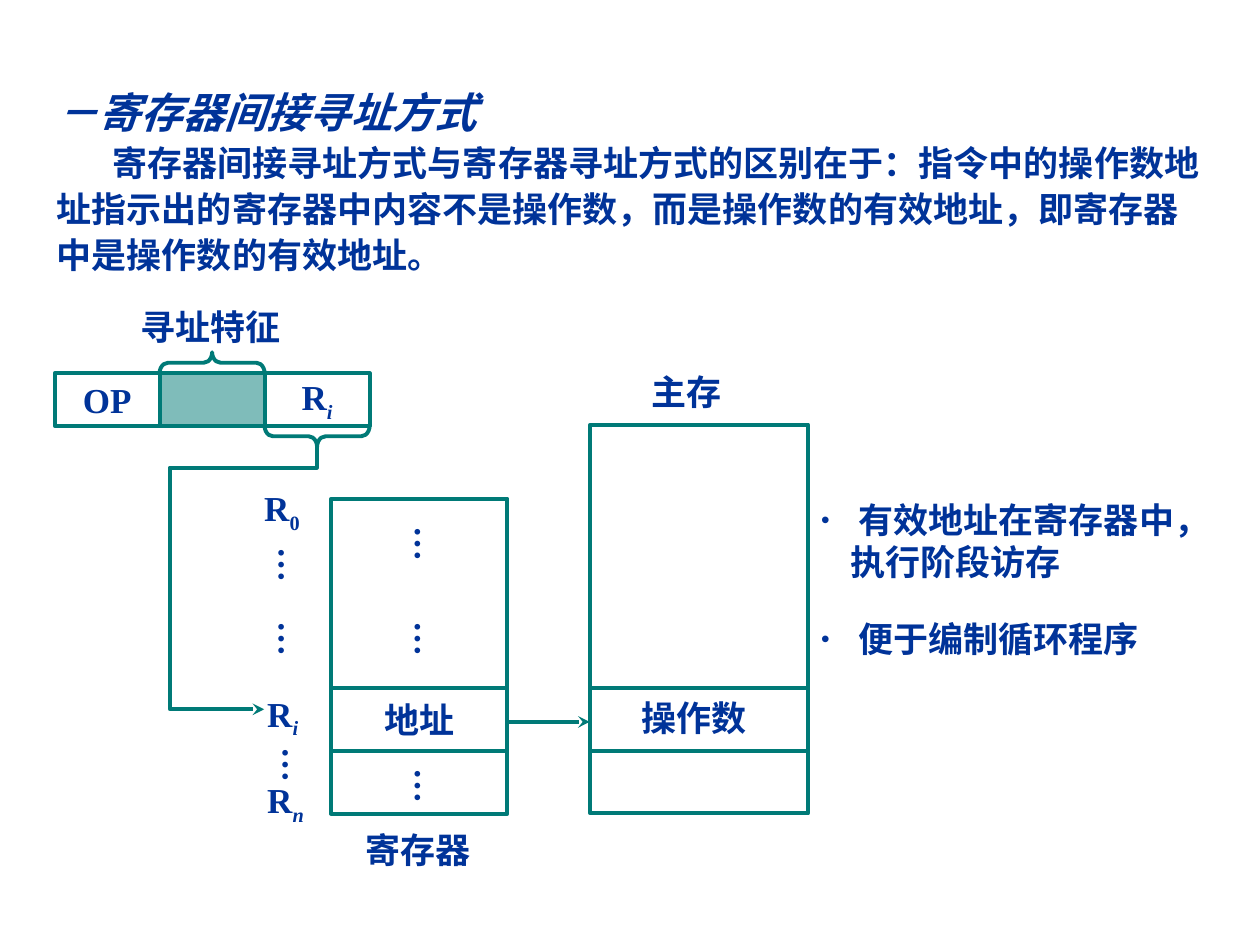
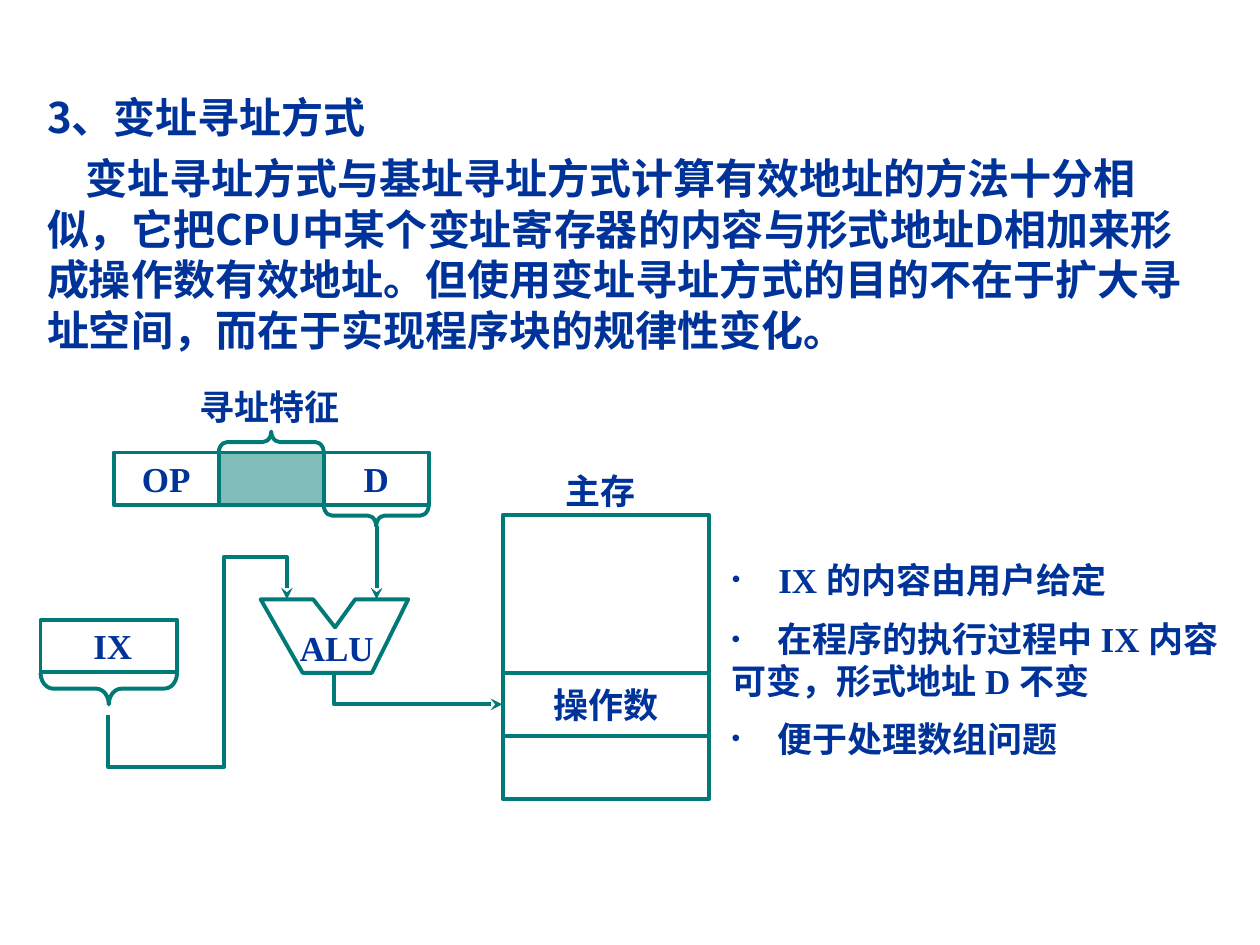
from lxml import etree
from pptx import Presentation
from pptx.dml.color import RGBColor
from pptx.enum.shapes import MSO_CONNECTOR as Connector, MSO_SHAPE as Shape
from pptx.enum.text import MSO_ANCHOR as Anchor, PP_ALIGN as Align
from pptx.oxml.ns import qn
from pptx.util import Pt

INK = "003399"
TEAL = "007A77"
SERIF = "Times New Roman"
SANS = "Arial"
CJK = "Noto Sans CJK SC"
LINE_WIDTH = 2.25
CELL_WIDTH, CELL_HEIGHT = 60, 30
ROW_HEIGHT = 36
BRACE_DEPTH = 12
LABEL_HEIGHT = 31


def color(hex_text):
    """Turn a hex string into a colour."""
    return RGBColor.from_string(hex_text)


def add_child(parent, tag, **attributes):
    """Append a drawing element with attributes."""
    return etree.SubElement(parent, qn(tag), attributes)


def add_span(para, text, size=20, font=SERIF, italic=False, subscript=False):
    """Add a formatted run of bold text to a paragraph."""
    span = para.add_run()
    span.text = text
    span.font.size = Pt(size)
    span.font.bold = True
    span.font.italic = italic
    span.font.color.rgb = color(INK)
    span.font.name = font
    properties = span.font._element
    add_child(properties, "a:ea", typeface=CJK)
    if subscript:
        properties.set("baseline", "-25000")


def add_register_name(para, index, italic=True):
    """Write R with a subscript index."""
    add_span(para, "R")
    add_span(para, index, italic=italic, subscript=True)


def set_indent(para, margin, first_line):
    """Set the left margin and first line indent, and keep punctuation inside the box."""
    properties = para._p.get_or_add_pPr()
    properties.set("marL", str(Pt(margin)))
    properties.set("indent", str(Pt(first_line)))
    properties.set("hangingPunct", "0")


def add_box(page, left, top, width, height=LABEL_HEIGHT, vertical=False):
    """Add a wrapping text box and return its text frame."""
    box = page.shapes.add_textbox(Pt(left), Pt(top), Pt(width), Pt(height))
    frame = box.text_frame
    frame.word_wrap = True
    side, end = (3.6, 7.2) if vertical else (7.2, 3.6)
    frame.margin_left = frame.margin_right = Pt(side)
    frame.margin_top = frame.margin_bottom = Pt(end)
    if vertical:
        frame._txBody.bodyPr.set("vert", "eaVert")
    return frame


def add_label(page, text, left, top, width):
    """Add a one-line label."""
    add_span(add_box(page, left, top, width).paragraphs[0], text)


def add_dots(page, left, top):
    """Add a vertical ellipsis."""
    add_span(add_box(page, left, top, 39.5, 27.5, vertical=True).paragraphs[0], "…")


def add_bullet(page, text, left, top, width, height, hang):
    """Add a bulleted text box and return its text frame."""
    frame = add_box(page, left, top, width, height)
    para = frame.paragraphs[0]
    set_indent(para, hang, -hang)
    properties = para._p.get_or_add_pPr()
    add_child(add_child(properties, "a:buClr"), "a:srgbClr", val=INK)
    add_child(properties, "a:buSzPct", val="70000")
    add_child(properties, "a:buFont", typeface=SANS)
    add_child(properties, "a:buChar", char="•")
    add_span(para, text)
    return frame


def style_line(shape):
    """Give a shape or connector the shared line."""
    shape.line.color.rgb = color(TEAL)
    shape.line.width = Pt(LINE_WIDTH)


def style_outline(shape):
    """Give a shape the shared outline, without fill or shadow."""
    shape.shadow.inherit = False
    shape.fill.background()
    style_line(shape)


def add_arrowhead(shape):
    """Put a stealth head at the end of a line."""
    outline = shape._element.spPr.find(qn("a:ln"))
    add_child(outline, "a:tailEnd", type="stealth")


def add_cell(page, left, top, width, height, text="", shaded=False):
    """Add an outlined cell and return its first paragraph."""
    cell = page.shapes.add_shape(Shape.RECTANGLE, Pt(left), Pt(top), Pt(width), Pt(height))
    style_outline(cell)
    if shaded:
        cell.fill.solid()
        cell.fill.fore_color.rgb = color(TEAL)
        tint = cell._element.spPr.find(qn("a:solidFill"))[0]
        add_child(tint, "a:alpha", val="50000")
    cell.text_frame.vertical_anchor = Anchor.MIDDLE
    para = cell.text_frame.paragraphs[0]
    para.alignment = Align.CENTER
    if text:
        add_span(para, text)
    return para


def add_stack(page, left, top, width, first_height, text):
    """Add a tall cell above two rows, with text in the middle one."""
    add_cell(page, left, top, width, first_height)
    add_cell(page, left, top + first_height, width, ROW_HEIGHT, text)
    add_cell(page, left, top + first_height + ROW_HEIGHT, width, ROW_HEIGHT)


def add_brace(page, left, top, length, depth=BRACE_DEPTH, points_up=False):
    """Add a horizontal brace within the given area."""
    shift = (length - depth) / 2
    brace = page.shapes.add_shape(
        Shape.LEFT_BRACE, Pt(left + shift), Pt(top - shift), Pt(depth), Pt(length))
    brace.adjustments[0] = 0.4
    brace.rotation = 90 if points_up else 270
    style_outline(brace)


def add_path(page, points, close=False, arrow=False):
    """Add an outlined path through points."""
    corners = [(Pt(x), Pt(y)) for x, y in points]
    builder = page.shapes.build_freeform(*corners[0], scale=1.0)
    builder.add_line_segments(corners[1:], close=close)
    path = builder.convert_to_shape()
    style_outline(path)
    if arrow:
        add_arrowhead(path)


def add_line(page, start, end, arrow=False):
    """Add a straight line or arrow."""
    ends = [Pt(value) for value in (*start, *end)]
    line = page.shapes.add_connector(Connector.STRAIGHT, *ends)
    style_line(line)
    if arrow:
        add_arrowhead(line)
    add_child(line._element.spPr, "a:effectLst")


def add_instruction(page, left, top):
    """Add an instruction word with braces and return its operand paragraph."""
    middle, right = left + CELL_WIDTH, left + 2 * CELL_WIDTH
    add_cell(page, left, top, CELL_WIDTH, CELL_HEIGHT, "OP")
    add_cell(page, middle, top, CELL_WIDTH, CELL_HEIGHT, shaded=True)
    operand = add_cell(page, right, top, CELL_WIDTH, CELL_HEIGHT)
    add_brace(page, middle, top - BRACE_DEPTH, CELL_WIDTH, points_up=True)
    add_brace(page, right, top + CELL_HEIGHT, CELL_WIDTH)
    add_label(page, "寻址特征", left + 42, top - 42, 111)
    return operand


def build_register_indirect(page):
    """Draw the register indirect addressing slide."""
    frame = add_box(page, 25.4, 43.3, 672.5, 119)
    heading, body = frame.paragraphs[0], frame.add_paragraph()
    heading.line_spacing = body.line_spacing = 1.1
    add_span(heading, "－寄存器间接寻址方式", size=24, font=SANS, italic=True)
    set_indent(body, 0, 31.8)
    add_span(body, "寄存器间接寻址方式与寄存器寻址方式的区别在于：指令中的操作数地址指示出的"
             "寄存器中内容不是操作数，而是操作数的有效地址，即寄存器中是操作数的有效地址。", font=SANS)

    add_register_name(add_instruction(page, 31.2, 213.3), "i")
    add_path(page, [(181, 255.5), (181, 267.3), (97, 267.3), (97, 405.3), (151, 405.3)],
             arrow=True)

    add_stack(page, 189.2, 285, 100.8, 108, "地址")
    for left, top in [(221.3, 293.6), (221.3, 348), (221.3, 432),
                      (143.5, 305.7), (143.5, 348), (145.7, 420)]:
        add_dots(page, left, top)
    for index, left, top in [("0", 143.9, 274.5), ("i", 145.6, 392), ("n", 145.6, 441.3)]:
        para = add_box(page, left, top, 38).paragraphs[0]
        add_register_name(para, index, italic=index != "0")
    add_label(page, "寄存器", 201.5, 469.7, 107)

    memory_left, memory_right = 337.3, 461.9
    add_cell(page, memory_left, 242.7, memory_right - memory_left, 222.1)
    for divider in (393, 393 + ROW_HEIGHT):
        add_line(page, (memory_left, divider), (memory_right, divider))
    add_label(page, "操作数", 359.5, 394.5, 82)
    add_label(page, "主存", 365, 208, 60.5)
    add_line(page, (289.5, 412.5), (337, 412.5), arrow=True)

    add_bullet(page, " 有效地址在寄存器中，执行阶段访存", 462.2, 281.5, 244, 55.5, hang=16.8)
    add_bullet(page, " 便于编制循环程序", 462.2, 349.3, 232.5, 31.5, hang=16.8)


def build_indexed(page):
    """Draw the indexed addressing slide."""
    frame = add_box(page, 19.8, 49, 672.5, 164)
    heading, body = frame.paragraphs[0], frame.add_paragraph()
    add_span(heading, "3、", size=24, font=CJK)
    add_span(heading, "变址寻址方式", size=24, font=SANS)
    body.space_before = Pt(6)
    set_indent(body, 0, 22)
    add_span(body, "变址寻址方式与基址寻址方式计算有效地址的方法十分相似，它把CPU中某个变址寄存器的"
             "内容与形式地址D相加来形成操作数有效地址。但使用变址寻址方式的目的不在于扩大寻址空间，"
             "而在于实现程序块的规律性变化。", size=24, font=CJK)

    add_span(add_instruction(page, 65, 258.6), "D")
    add_line(page, (215.2, 300.5), (215.2, 342.5), arrow=True)

    add_path(page, [(149, 342.5), (179, 342.5), (191.5, 358.5), (203, 342.5),
                    (233.3, 342.5), (212.5, 384.5), (173, 384.5)], close=True)
    add_label(page, "ALU", 164.2, 354.2, 60)

    add_cell(page, 23.2, 354.3, 78, CELL_HEIGHT)
    add_label(page, "IX", 46.2, 353.2, 40)
    add_brace(page, 23.2, 384.5, 78, depth=18)
    add_path(page, [(62, 408.5), (62, 438.5), (128, 438.5), (128, 318.3),
                    (164, 318.3), (164, 342.5)], arrow=True)
    add_path(page, [(191, 384.5), (191, 402.5), (287, 402.5)], arrow=True)

    add_stack(page, 287.3, 294.5, 118, 90, "操作数")
    add_label(page, "主存", 315.8, 265, 58)

    add_bullet(page, "IX 的内容由用户给定", 411.2, 315.5, 238.5, 31.5, hang=26.5)
    changing = add_bullet(page, "在程序的执行过程中 IX 内容", 411, 349.6, 309, 55.5, hang=26)
    add_span(changing.add_paragraph(), "可变，形式地址 D 不变")
    add_bullet(page, "便于处理数组问题", 411, 406.3, 227, 31.5, hang=26)


def main():
    """Build the deck and save it."""
    deck = Presentation()
    deck.slide_width, deck.slide_height = Pt(720), Pt(540)
    for build in (build_register_indirect, build_indexed):
        build(deck.slides.add_slide(deck.slide_layouts[6]))
    deck.save("out.pptx")


if __name__ == "__main__":
    main()
